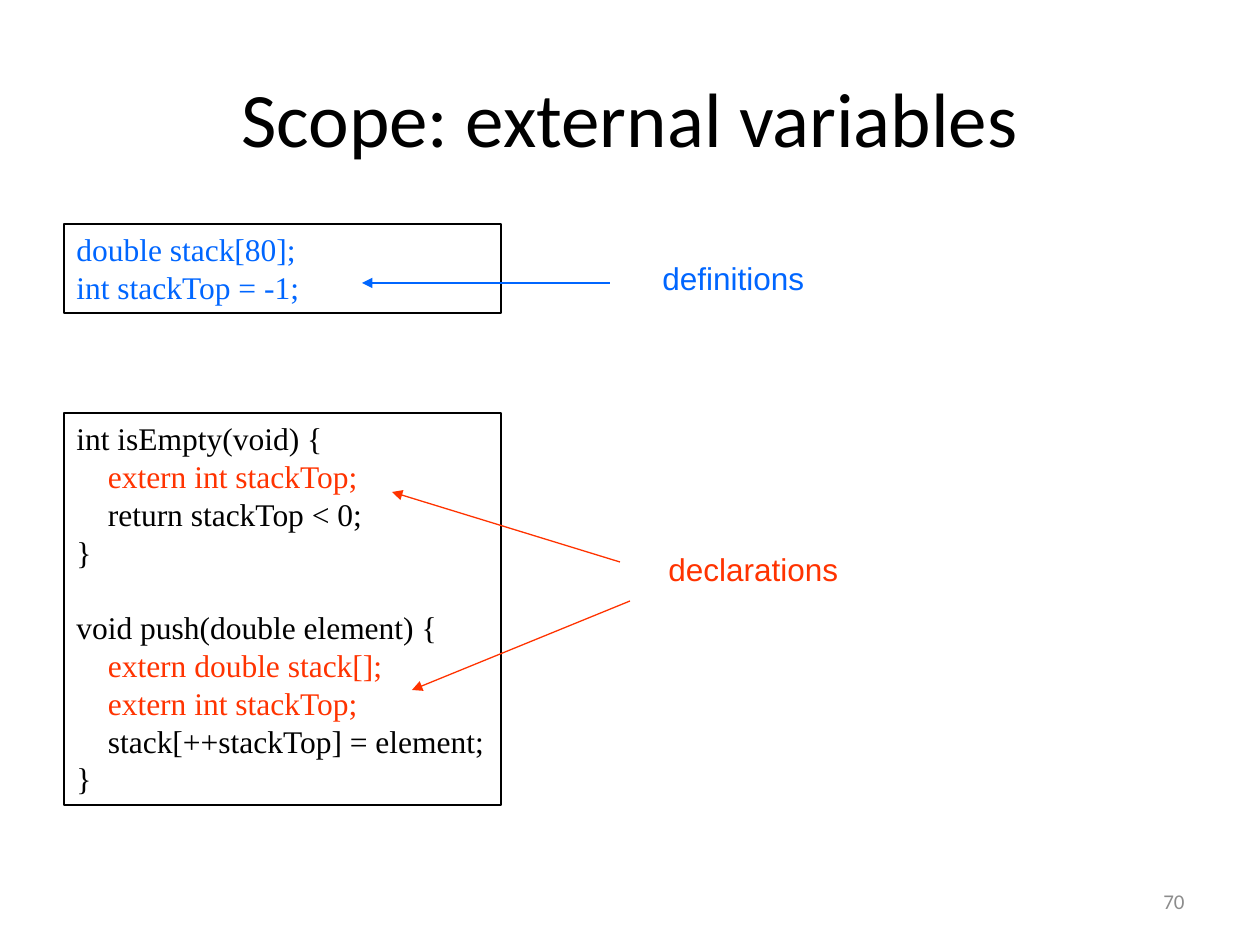
import pptx
import pptx.util
import pptx.dml.color
import pptx.enum.shapes
import pptx.enum.text
import pptx.oxml
import pptx.oxml.ns

PX = 914400 / 126
BLACK = pptx.dml.color.RGBColor(0x00, 0x00, 0x00)
BLUE = pptx.dml.color.RGBColor(0x00, 0x66, 0xFF)
RED = pptx.dml.color.RGBColor(0xFF, 0x33, 0x00)
GREY = pptx.dml.color.RGBColor(0x8C, 0x8C, 0x8C)
LEFT = pptx.enum.text.PP_ALIGN.LEFT
CENTER = pptx.enum.text.PP_ALIGN.CENTER
RIGHT = pptx.enum.text.PP_ALIGN.RIGHT
TOP = pptx.enum.text.MSO_ANCHOR.TOP
MIDDLE = pptx.enum.text.MSO_ANCHOR.MIDDLE
LINE_PITCH = pptx.util.Pt(21.6)


def emu(*lengths):
    return [round(length * PX) for length in lengths]


def write_line(paragraph, text, align, font, size, color):
    paragraph.alignment = align
    run = paragraph.add_run()
    run.text = text
    for name, value in {"name": font, "size": pptx.util.Pt(size)}.items():
        setattr(run.font, name, value)
    run.font.color.rgb = color


deck = pptx.Presentation()
deck.slide_width, deck.slide_height = emu(1260, 945)
slide = deck.slides.add_slide(deck.slide_layouts[6])

definition_lines = [("double stack[80];", BLUE), ("int stackTop = -1;", BLUE)]
function_lines = [
    ("int isEmpty(void) {", BLACK),
    ("    extern int stackTop;", RED),
    ("    return stackTop < 0;", BLACK),
    ("}", BLACK),
    ("void push(double element) {", BLACK),
    ("    extern double stack[];", RED),
    ("    extern int stackTop;", RED),
    ("    stack[++stackTop] = element;", BLACK),
    ("}", BLACK),
]
for top, height, code in [(224, 89, definition_lines), (413, 392, function_lines)]:
    listing = slide.shapes.add_shape(
        pptx.enum.shapes.MSO_SHAPE.RECTANGLE, *emu(64, top, 437, height))
    listing.shadow.inherit = False
    listing.fill.background()
    listing.line.color.rgb = BLACK
    listing.line.width = pptx.util.Pt(0.75)
    frame = listing.text_frame
    frame.word_wrap = True
    frame.vertical_anchor = TOP
    for index, (text, color) in enumerate(code):
        paragraph = frame.add_paragraph() if index else frame.paragraphs[0]
        paragraph.line_spacing = LINE_PITCH
        if text.startswith("void"):
            paragraph.space_before = LINE_PITCH
        write_line(paragraph, text, LEFT, "Times New Roman", 18, color)

for start, end, color in [
    ((620, 562), (392, 492), RED),
    ((630, 601), (412, 690), RED),
    ((610, 283), (362, 283), BLUE),
]:
    arrow = slide.shapes.add_connector(
        pptx.enum.shapes.MSO_CONNECTOR.STRAIGHT, *emu(*start, *end))
    arrow.line.color.rgb = color
    arrow.line.width = pptx.util.Pt(0.75)
    tail = pptx.oxml.parse_xml(
        '<a:tailEnd %s type="triangle"/>' % pptx.oxml.ns.nsdecls("a"))
    arrow.line._get_or_add_ln().append(tail)
    no_effects = pptx.oxml.parse_xml("<a:effectLst %s/>" % pptx.oxml.ns.nsdecls("a"))
    arrow._element.spPr.append(no_effects)

for text, box, align, anchor, wrap, pitch, font, size, color in [
    ("Scope: external variables", (63, 38, 1134, 157), CENTER, MIDDLE, True, None, "Calibri", 44, BLACK),
    ("declarations", (656, 544, 195, 50), LEFT, TOP, False, LINE_PITCH, "Arial", 18, RED),
    ("definitions", (650, 253, 168, 50), LEFT, TOP, False, LINE_PITCH, "Arial", 18, BLUE),
    ("70", (903, 876, 294, 50), RIGHT, MIDDLE, True, None, "Calibri", 12, GREY),
]:
    frame = slide.shapes.add_textbox(*emu(*box)).text_frame
    for name, value in {"word_wrap": wrap, "vertical_anchor": anchor}.items():
        setattr(frame, name, value)
    frame.paragraphs[0].line_spacing = pitch
    write_line(frame.paragraphs[0], text, align, font, size, color)

deck.save("out.pptx")
